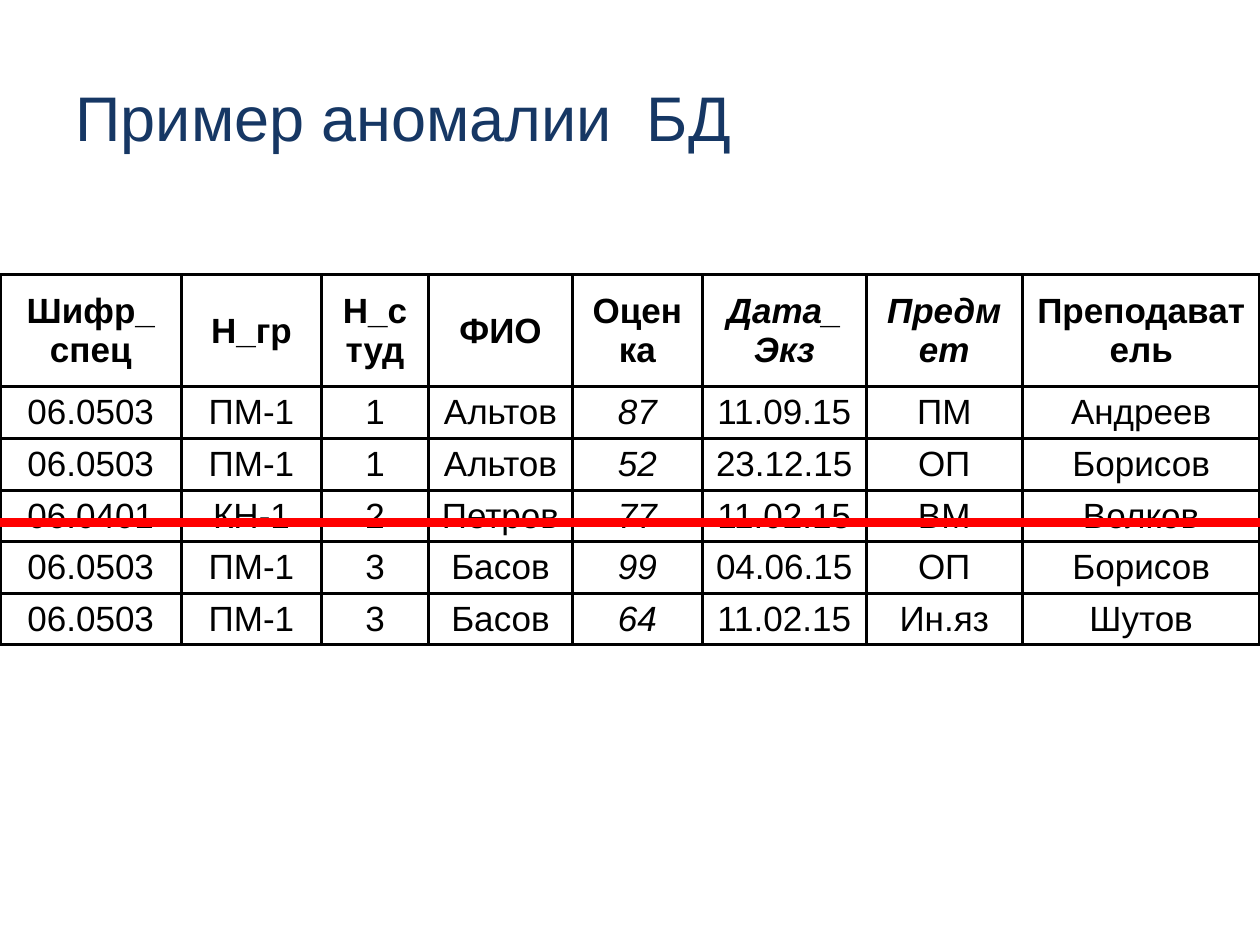
import pptx
import pptx.dml.color
import pptx.enum.shapes
import pptx.enum.text
import pptx.oxml
import pptx.oxml.ns
import pptx.util
from lxml import etree

Cm = pptx.util.Cm
Pt = pptx.util.Pt
RGBColor = pptx.dml.color.RGBColor
qn = pptx.oxml.ns.qn

NAVY = RGBColor(0x16, 0x37, 0x64)
BLACK = RGBColor(0, 0, 0)
WHITE = RGBColor(255, 255, 255)
RED = RGBColor(255, 0, 0)
FONT = "Arial"

SLIDE_WIDTH, SLIDE_HEIGHT = Cm(25.4), Cm(19.05)
COLUMN_WIDTHS = [3.66, 2.82, 2.16, 2.9, 2.62, 3.3, 3.15, 4.79]
HEADER_HEIGHT, RECORD_HEIGHT = 2.26, 1.04
ITALIC_HEADERS = {"Дата_Экз", "Предмет"}
GRADE_COLUMN = 4

EXAM_RECORDS = [
    ["Шифр_\nспец", "Н_гр", "Н_студ", "ФИО", "Оценка", "Дата_Экз", "Предмет", "Преподаватель"],
    ["06.0503", "ПМ-1", "1", "Альтов", "87", "11.09.15", "ПМ", "Андреев"],
    ["06.0503", "ПМ-1", "1", "Альтов", "52", "23.12.15", "ОП", "Борисов"],
    ["06.0401", "КН-1", "2", "Петров", "77", "11.02.15", "ВМ", "Волков"],
    ["06.0503", "ПМ-1", "3", "Басов", "99", "04.06.15", "ОП", "Борисов"],
    ["06.0503", "ПМ-1", "3", "Басов", "64", "11.02.15", "Ин.яз", "Шутов"],
]


def style_runs(paragraph, size, color, bold=False, italic=False):
    for run in paragraph.runs:
        run.font.name = FONT
        run.font.size = Pt(size)
        run.font.color.rgb = color
        run.font.bold = bold
        run.font.italic = italic


def add_title(slide, left, top, width, height):
    title = slide.shapes.title
    title.left, title.top, title.width, title.height = left, top, width, height
    title.text_frame.text = "Пример аномалии  БД"
    title.text_frame.vertical_anchor = pptx.enum.text.MSO_ANCHOR.MIDDLE
    heading = title.text_frame.paragraphs[0]
    heading.alignment = pptx.enum.text.PP_ALIGN.LEFT
    style_runs(heading, 36, NAVY)


def add_borders(cell, width, color):
    properties = cell._tc.get_or_add_tcPr()
    # Borders come before the fill in the cell properties
    for position, side in enumerate(("a:lnL", "a:lnR", "a:lnT", "a:lnB")):
        border = etree.Element(qn(side), w=str(Pt(width)))
        fill = etree.SubElement(border, qn("a:solidFill"))
        etree.SubElement(fill, qn("a:srgbClr"), val=str(color))
        properties.insert(position, border)


def fill_cell(cell, text, bold, italic):
    cell.fill.solid()
    cell.fill.fore_color.rgb = WHITE
    cell.vertical_anchor = pptx.enum.text.MSO_ANCHOR.MIDDLE
    cell.margin_top = cell.margin_bottom = Cm(0.11)
    paragraph = cell.text_frame.paragraphs[0]
    paragraph.text = text
    paragraph.alignment = pptx.enum.text.PP_ALIGN.CENTER
    style_runs(paragraph, 20, BLACK, bold, italic)
    add_borders(cell, 2, BLACK)


def add_exam_table(slide, left, top, width):
    height = Cm(HEADER_HEIGHT + RECORD_HEIGHT * (len(EXAM_RECORDS) - 1))
    exams = slide.shapes.add_table(
        len(EXAM_RECORDS), len(COLUMN_WIDTHS), left, top, width, height).table
    for column, column_width in zip(exams.columns, COLUMN_WIDTHS):
        column.width = Cm(column_width)
    for row_index, record in enumerate(EXAM_RECORDS):
        is_header = row_index == 0
        exams.rows[row_index].height = Cm(HEADER_HEIGHT if is_header else RECORD_HEIGHT)
        for column_index, text in enumerate(record):
            italic = text in ITALIC_HEADERS if is_header else column_index == GRADE_COLUMN
            fill_cell(exams.cell(row_index, column_index), text, is_header, italic)


def add_strikeout(slide, left, y, width):
    strikeout = slide.shapes.add_connector(
        pptx.enum.shapes.MSO_CONNECTOR.STRAIGHT, left, y, left + width, y)
    strikeout.line.color.rgb = RED
    strikeout.line.width = Pt(5)
    etree.SubElement(strikeout._element.spPr, qn("a:effectLst"))


def main():
    presentation = pptx.Presentation()
    presentation.slide_width, presentation.slide_height = SLIDE_WIDTH, SLIDE_HEIGHT
    slide = presentation.slides.add_slide(presentation.slide_layouts[5])

    # Title
    add_title(slide, Cm(1.27), Cm(0.76), Cm(22.86), Cm(3.18))
    # Exam records
    add_exam_table(slide, Cm(0), Cm(5.54), SLIDE_WIDTH)
    # Deleted record, crossed out
    add_strikeout(slide, Cm(0), Cm(10.54), SLIDE_WIDTH)

    presentation.save("out.pptx")


if __name__ == "__main__":
    main()
